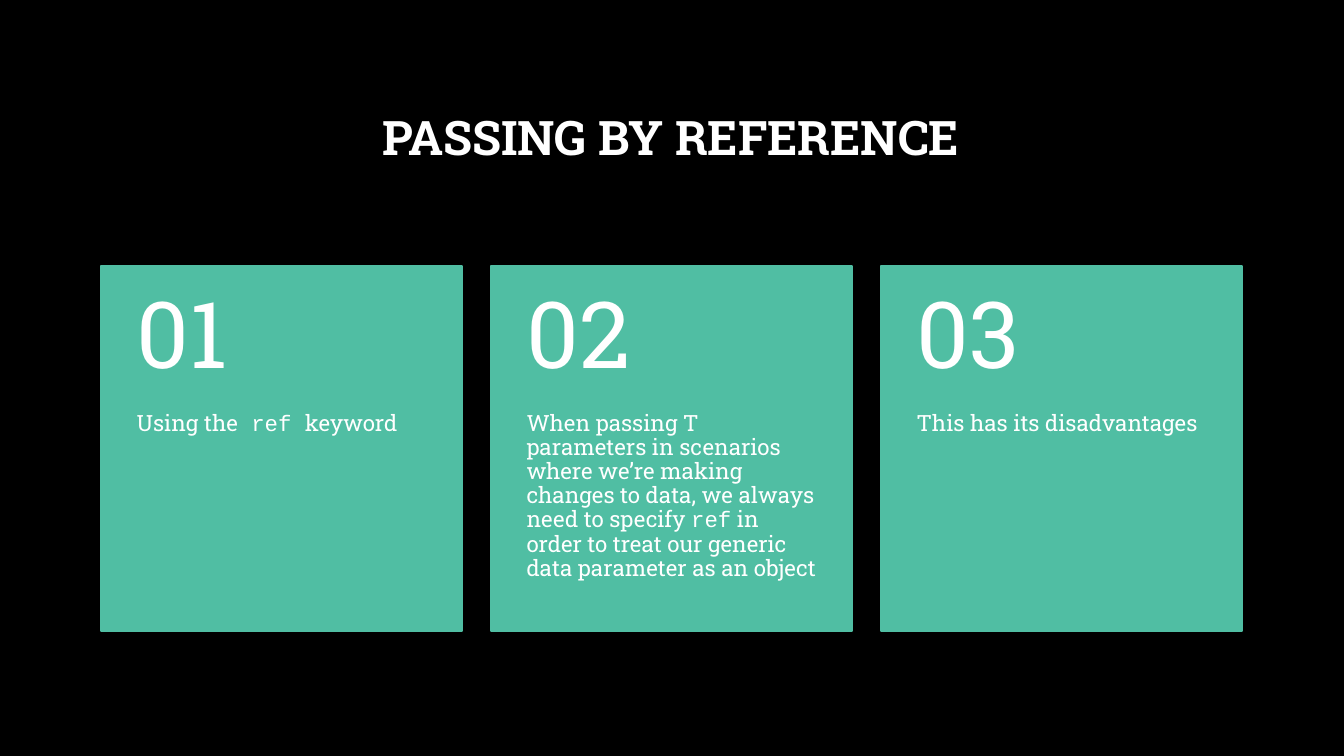
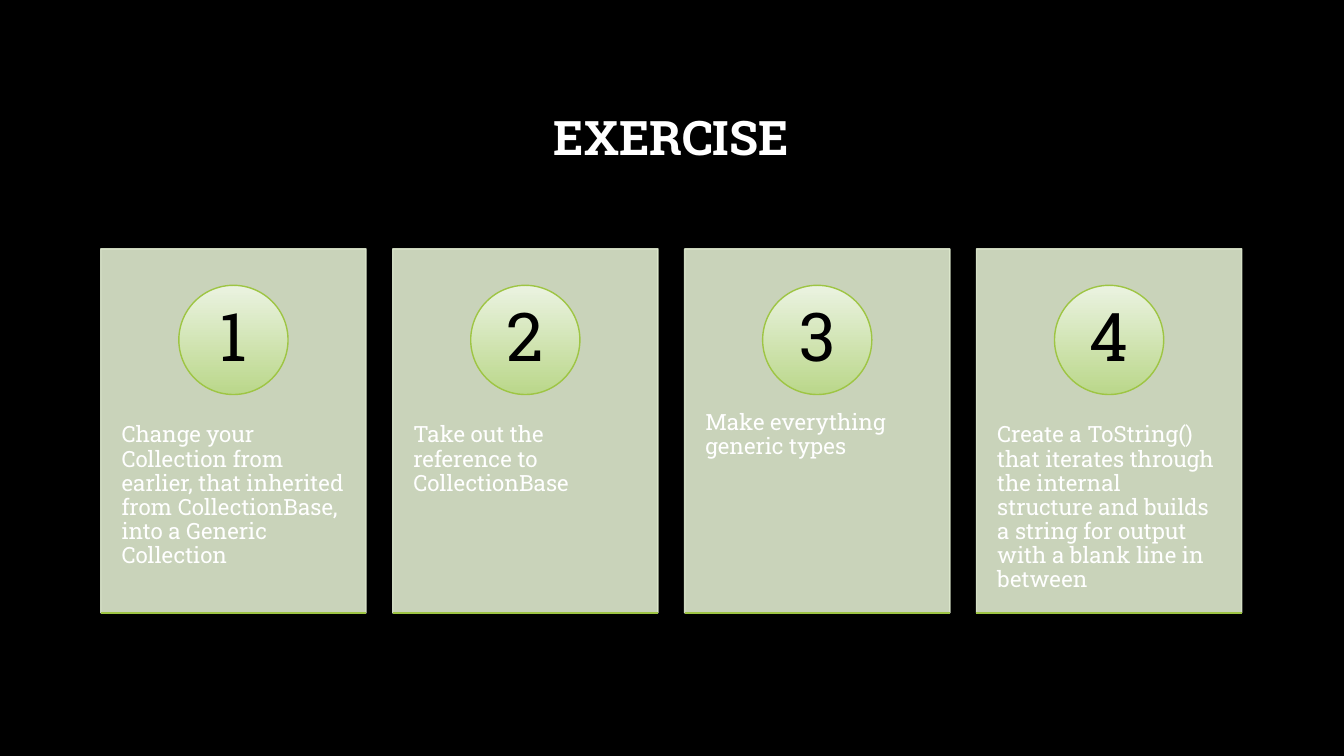
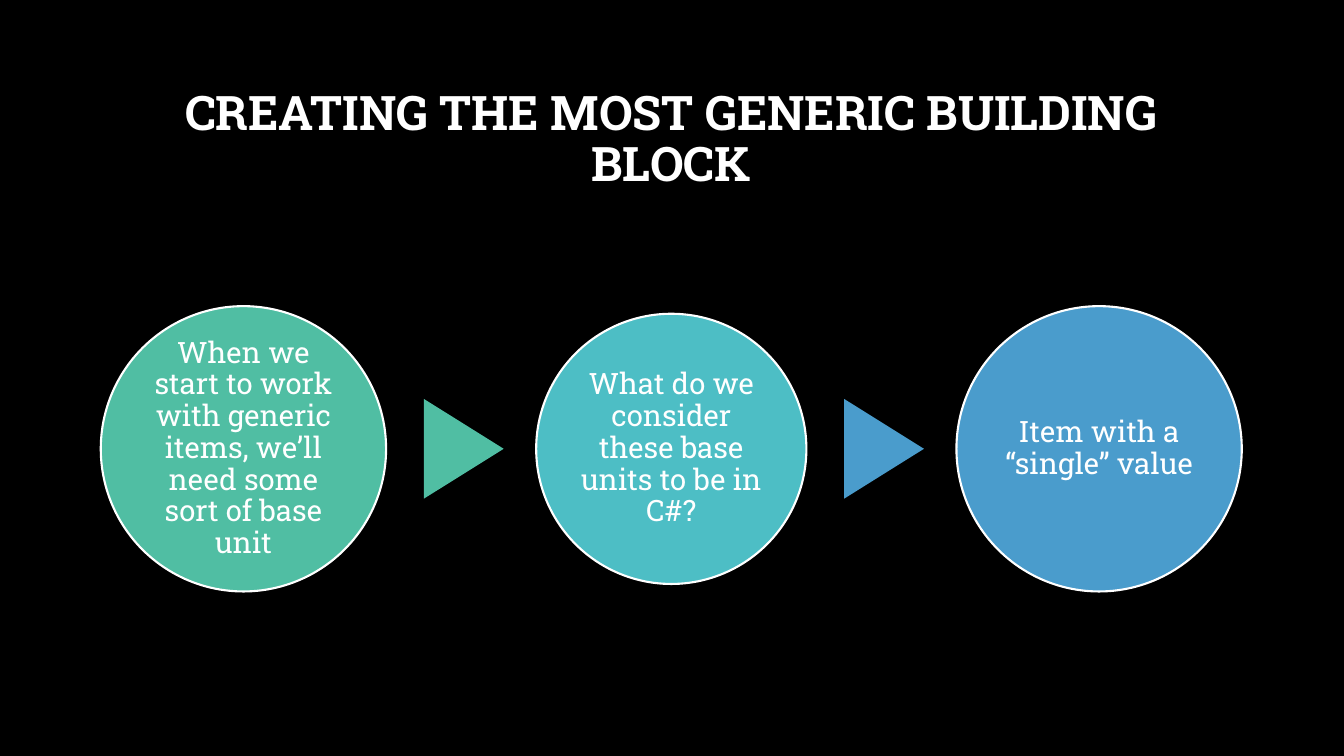
from lxml import etree
from pptx import Presentation
from pptx.dml.color import RGBColor
from pptx.enum.shapes import MSO_CONNECTOR, MSO_SHAPE
from pptx.enum.text import MSO_ANCHOR, PP_ALIGN
from pptx.oxml.ns import qn
from pptx.util import Pt

RECT = MSO_SHAPE.RECTANGLE
OVAL = MSO_SHAPE.OVAL
TRIANGLE = MSO_SHAPE.ISOSCELES_TRIANGLE
STRAIGHT = MSO_CONNECTOR.STRAIGHT
TOP, MIDDLE = MSO_ANCHOR.TOP, MSO_ANCHOR.MIDDLE
LEFT, CENTER = PP_ALIGN.LEFT, PP_ALIGN.CENTER

COLORS = {
    "black": "000000",
    "white": "FFFFFF",
    "green": "50BEA3",
    "teal": "4DBEC5",
    "blue": "4A9CCC",
    "pale": "DFEACF",
    "lime": "9EC544",
    "badge_top": "EBF3E1",
    "badge_bottom": "BAD78A",
}
FONT = "Roboto Slab"
CODE_FONT = "Courier New"
MARGIN, CONTENT_W = 72, 815

REFERENCE_CARDS = [
    [("Using the", FONT), (" ref ", CODE_FONT), ("keyword", FONT)],
    [("When passing T parameters in scenarios where we’re making changes to data, "
      "we always need to specify ", FONT),
     ("ref", CODE_FONT),
     (" in order to treat our generic data parameter as an object", FONT)],
    [("This has its disadvantages", FONT)],
]
EXERCISE_STEPS = [
    "Change your Collection from earlier, that inherited from CollectionBase, "
    "into a Generic Collection",
    "Take out the reference to CollectionBase",
    "Make everything generic types",
    "Create a ToString() that iterates through the internal structure and builds "
    "a string for output with a blank line in between",
]
BUILDING_BLOCKS = [
    ("When we start to work with generic items, we’ll need some sort of base unit",
     203.8, "green", "green"),
    ("What do we consider these base units to be in C#?", 193, "teal", "blue"),
    ("Item with a “single” value", 203.8, "blue", None),
]


def rgb(name):
    return RGBColor.from_string(COLORS[name])


def set_alpha(shape, percent):
    for color in shape._element.spPr.iter(qn("a:srgbClr")):
        etree.SubElement(color, qn("a:alpha")).set("val", str(percent * 1000))


def write(shape, runs, size, color="white", align=LEFT, anchor=TOP,
          insets=(7.2, 3.6), bold=False):
    tf = shape.text_frame
    tf.word_wrap = True
    tf.vertical_anchor = anchor
    tf.margin_left = tf.margin_right = Pt(insets[0])
    tf.margin_top = tf.margin_bottom = Pt(insets[1])
    p = tf.paragraphs[0]
    p.alignment = align
    p.line_spacing = 0.9
    for text, font in runs:
        r = p.add_run()
        r.text = text
        r.font.name = font
        r.font.size = Pt(size)
        r.font.bold = bold
        r.font.color.rgb = rgb(color)


def add_text(s, x, y, w, h, runs, size, **style):
    box = s.shapes.add_textbox(Pt(x), Pt(y), Pt(w), Pt(h))
    write(box, runs, size, **style)


def add_shape(s, kind, x, y, w, h, fill, line=None, line_width=1.5):
    shape = s.shapes.add_shape(kind, Pt(x), Pt(y), Pt(w), Pt(h))
    shape.shadow.inherit = False
    shape.fill.solid()
    shape.fill.fore_color.rgb = rgb(fill)
    if line:
        shape.line.color.rgb = rgb(line)
        shape.line.width = Pt(line_width)
    else:
        shape.line.fill.background()
    return shape


def add_rule(s, x, y, w, color):
    rule = s.shapes.add_connector(STRAIGHT, Pt(x), Pt(y), Pt(x + w), Pt(y))
    rule.line.color.rgb = rgb(color)
    rule.line.width = Pt(1)
    etree.SubElement(rule._element.spPr, qn("a:effectLst"))


def add_badge(s, x, y, size, label):
    badge = add_shape(s, OVAL, x, y, size, size, "badge_top", "lime", 1)
    badge.fill.gradient()
    badge.fill.gradient_angle = 270
    for stop, name in zip(badge.fill.gradient_stops, ("badge_top", "badge_bottom")):
        stop.color.rgb = rgb(name)
    write(badge, [(label, FONT)], 48, color="black", align=CENTER, anchor=MIDDLE,
          insets=(5.5, 0.8))


def add_slide(prs, title):
    s = prs.slides.add_slide(prs.slide_layouts[6])
    add_text(s, MARGIN, 48, CONTENT_W, 104.5, [(title, FONT)], 34,
             align=CENTER, anchor=MIDDLE, bold=True)
    return s


def column_lefts(count, width):
    step = (CONTENT_W - width) / (count - 1)
    return [MARGIN + i * step for i in range(count)]


def add_reference_slide(prs):
    s = add_slide(prs, "PASSING BY REFERENCE")
    top, width, height, number_h = 190, 257.8, 260.6, 104.3
    lefts = column_lefts(len(REFERENCE_CARDS), width)
    for number, (x, runs) in enumerate(zip(lefts, REFERENCE_CARDS), 1):
        add_shape(s, RECT, x, top, width, height, "green", "green")
        add_text(s, x, top + number_h, width, height - number_h, runs, 16,
                 insets=(25.5, 0))
        add_text(s, x, top, width, number_h, [(f"{number:02}", FONT)], 66,
                 anchor=MIDDLE, insets=(25.5, 13))


def add_exercise_slide(prs):
    s = add_slide(prs, "EXERCISE")
    top, width, height, badge = 177.8, 189.5, 260, 78
    lefts = column_lefts(len(EXERCISE_STEPS), width)
    for number, (x, text) in enumerate(zip(lefts, EXERCISE_STEPS), 1):
        card = add_shape(s, RECT, x, top, width, height, "pale", "pale", 1)
        set_alpha(card, 90)
        add_text(s, x, top + 98.8, width, 156, [(text, FONT)], 16, insets=(14.8, 26))
        add_badge(s, x + (width - badge) / 2, top + 26, badge, str(number))
        add_rule(s, x, top + height, width, "lime")


def add_building_block_slide(prs):
    s = add_slide(prs, "CREATING THE MOST GENERIC BUILDING BLOCK")
    middle, base, depth = 320.6, 71.2, 57
    gap_before, gap_after = 27, 23.2
    x = MARGIN
    for text, size, fill, arrow_fill in BUILDING_BLOCKS:
        circle = add_shape(s, OVAL, x, middle - size / 2, size, size, fill, "white")
        write(circle, [(text, FONT)], 21, align=CENTER, anchor=MIDDLE, insets=(2, 2))
        x += size + gap_before
        if arrow_fill:
            arrow = add_shape(s, TRIANGLE, x + (depth - base) / 2, middle - depth / 2,
                              base, depth, arrow_fill)
            arrow.rotation = 90
            x += depth + gap_after


def main():
    prs = Presentation()
    prs.slide_width, prs.slide_height = Pt(960), Pt(540)
    background = prs.slide_master.background.fill
    background.solid()
    background.fore_color.rgb = rgb("black")
    add_reference_slide(prs)
    add_exercise_slide(prs)
    add_building_block_slide(prs)
    prs.save("out.pptx")


if __name__ == "__main__":
    main()
